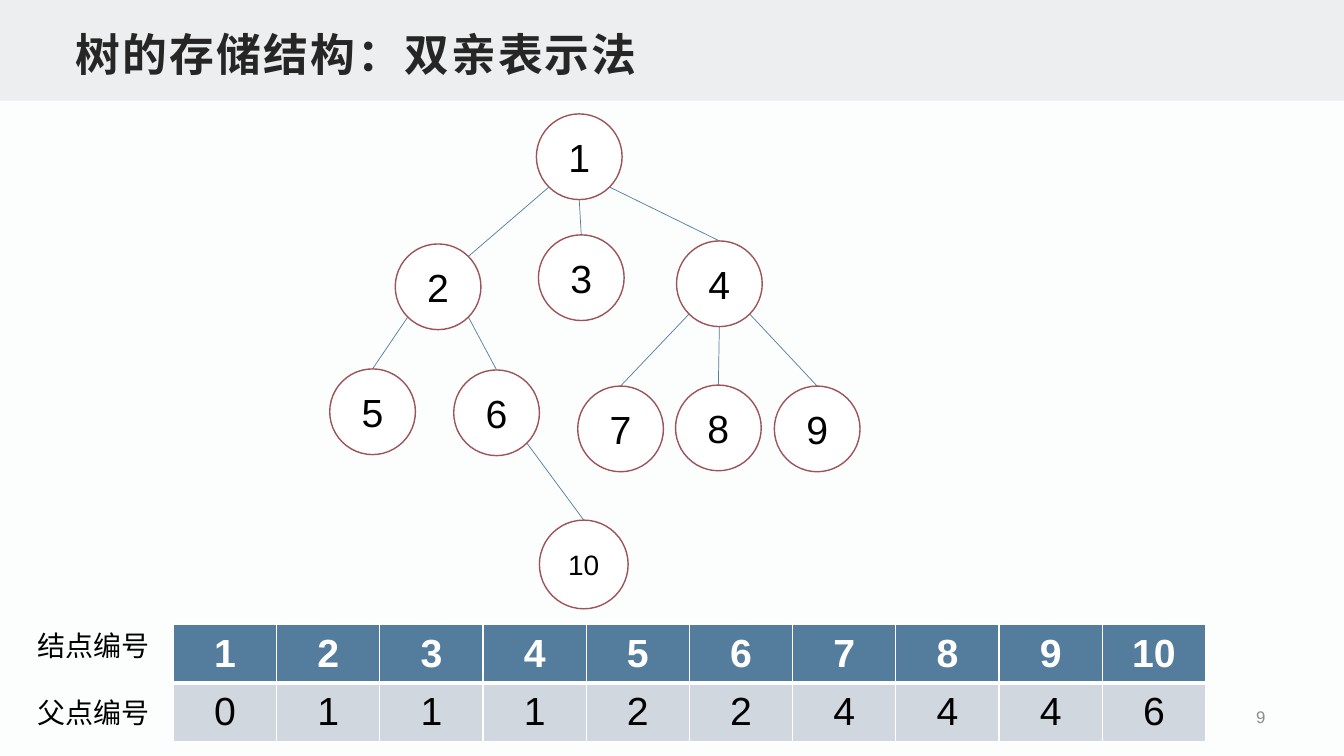
import math

import lxml.etree
import pptx
import pptx.dml.color
import pptx.enum.shapes
import pptx.enum.text
import pptx.oxml.ns
import pptx.util

PX = 9144  # EMU per px, 100 px to the inch
FONT = "Arial"
BLUE = "547D9D"
WHITE = "FFFFFF"
BLACK = "000000"
ALIGN = pptx.enum.text.PP_ALIGN
ANCHOR = pptx.enum.text.MSO_ANCHOR
SHAPE = pptx.enum.shapes.MSO_SHAPE

# Parent of each node, 0 for the root
PARENTS = {1: 0, 2: 1, 3: 1, 4: 1, 5: 2, 6: 2, 7: 4, 8: 4, 9: 4, 10: 6}
# Left and top of each node within the tree
SPOTS = {1: (205, 0), 2: (65, 129), 3: (207, 120), 4: (344, 126),
         5: (0, 253), 6: (123, 254), 7: (246, 270), 8: (343, 269),
         9: (441, 270), 10: (208, 403)}


def emu(*px):
    return [round(n * PX) for n in px]


def color(code):
    return pptx.dml.color.RGBColor.from_string(code)


def paint(fill, code):
    fill.solid()
    fill.fore_color.rgb = color(code)


def write(frame, text, size, code=BLACK, bold=False, align=ALIGN.LEFT,
          anchor=ANCHOR.MIDDLE):
    frame.vertical_anchor = anchor
    para = frame.paragraphs[0]
    para.alignment = align
    run = para.add_run()
    run.text = text
    run.font.name = FONT
    run.font.size = pptx.util.Pt(size)
    run.font.bold = bold
    run.font.color.rgb = color(code)
    return run


def label(slide, box, text, size, **style):
    frame = slide.shapes.add_textbox(*emu(*box)).text_frame
    frame.word_wrap = True
    frame.margin_right = 0
    write(frame, text, size, **style)


def shape(slide, kind, box, fill, line=None):
    item = slide.shapes.add_shape(kind, *emu(*box))
    item.shadow.inherit = False
    paint(item.fill, fill)
    if line:
        item.line.color.rgb = color(line)
        item.line.width = pptx.util.Pt(1)
    else:
        item.line.fill.background()
    return item


def header(slide, box):
    left, top, width, height = box
    title = slide.shapes.title
    band = shape(slide, SHAPE.RECTANGLE, box, "ECEEEF")
    title.element.addprevious(band.element)  # band goes behind the title
    title.left, title.top, title.width, title.height = emu(
        left + 67, top + 17, width - 133, height - 33)
    frame = title.text_frame
    frame.word_wrap = True
    frame.auto_size = pptx.enum.text.MSO_AUTO_SIZE.NONE
    frame.margin_left, frame.margin_top = emu(8, 4)
    frame.margin_right, frame.margin_bottom = emu(8, 4)
    run = write(frame, "树的存储结构：双亲表示法", 32, "262626", True,
                anchor=ANCHOR.BOTTOM)
    run.font._element.set("spc", "150")


def rim(box, side, down):
    """Point on a circle: side -1, 0, 1 and down -1 (top) or 1 (bottom)."""
    left, top, width, height = box
    part = math.sqrt(0.5) if side else 1
    return (left + width / 2 * (1 + side * part),
            top + height / 2 * (1 + down * part))


def edge(slide, start, end):
    line = slide.shapes.add_connector(
        pptx.enum.shapes.MSO_CONNECTOR.STRAIGHT, *emu(*start, *end))
    line.line.color.rgb = color(BLUE)
    line.line.width = pptx.util.Pt(0.5)
    lxml.etree.SubElement(line.element.spPr,
                          pptx.oxml.ns.qn("a:effectLst"))


def tree(slide, left, top):
    nodes = {}
    for num, (dx, dy) in SPOTS.items():
        size = 88 if num == 10 else 85
        nodes[num] = (left + dx, top + dy, size, size)

    # Edges leave towards the child and enter at its top
    for num, parent in PARENTS.items():
        if not parent:
            continue
        gap = nodes[num][0] - nodes[parent][0]
        side = 0 if abs(gap) < 10 else int(math.copysign(1, gap))
        enter = 1 if num == 2 else 0
        edge(slide, rim(nodes[parent], side, 1), rim(nodes[num], enter, -1))

    for num, box in nodes.items():
        node = shape(slide, SHAPE.OVAL, box, WHITE, "9D5458")
        frame = node.text_frame
        frame.word_wrap = num != 10
        write(frame, str(num), 20 if num == 10 else 28, align=ALIGN.CENTER)


def border(cell, widths):
    props = cell._tc.get_or_add_tcPr()
    for spot, (side, width) in enumerate(zip("LRTB", widths)):
        line = lxml.etree.Element(pptx.oxml.ns.qn("a:ln" + side),
                                  w=str(pptx.util.Pt(width)))
        fill = lxml.etree.SubElement(line, pptx.oxml.ns.qn("a:solidFill"))
        lxml.etree.SubElement(fill, pptx.oxml.ns.qn("a:srgbClr"), val=WHITE)
        props.insert(spot, line)


def table(slide, box):
    left, top, width, height = box
    rows = [(PARENTS.keys(), BLUE, WHITE, True, (1, 1, 1, 3)),
            (PARENTS.values(), "D1D7DF", BLACK, False, (1, 1, 3, 1))]
    grid = slide.shapes.add_table(len(rows), len(PARENTS), *emu(*box)).table
    grid.first_row = grid.horz_banding = False
    for r, (values, fill, ink, bold, widths) in enumerate(rows):
        for c, value in enumerate(values):
            cell = grid.cell(r, c)
            paint(cell.fill, fill)
            border(cell, widths)
            write(cell.text_frame, str(value), 28, ink, bold, ALIGN.CENTER)
            cell.vertical_anchor = ANCHOR.MIDDLE

    # Row names
    for r, text in enumerate(["结点编号", "父点编号"]):
        label(slide, (left - 145, top + 66 * r, 131, 44), text, 20,
              anchor=ANCHOR.TOP)


def main():
    deck = pptx.Presentation()
    deck.slide_width, deck.slide_height = emu(1333, 750)
    slide = deck.slides.add_slide(deck.slide_layouts.get_by_name("Title Only"))
    paint(slide.background.fill, "FCFDFD")
    header(slide, (0, 0, 1333, 100))
    table(slide, (172, 619, 1024, 117))
    tree(slide, 327, 113)
    label(slide, (970, 694, 285, 35), "9", 12, code="8C8C8C",
          align=ALIGN.RIGHT)
    deck.save("out.pptx")


if __name__ == "__main__":
    main()
